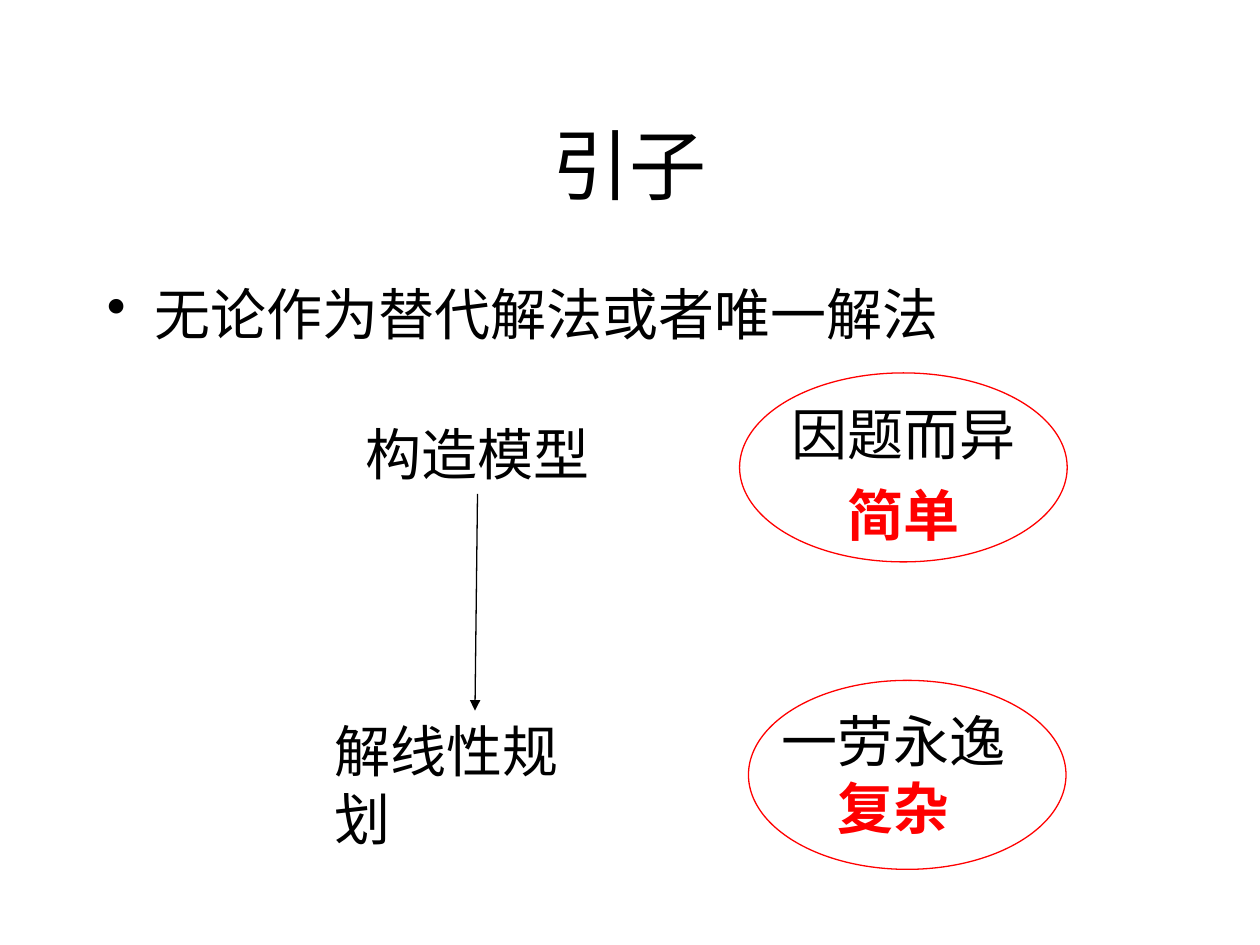
from lxml import etree
from pptx import Presentation
from pptx.dml.color import RGBColor
from pptx.enum.shapes import MSO_CONNECTOR, MSO_SHAPE
from pptx.enum.text import MSO_ANCHOR, MSO_AUTO_SIZE, PP_ALIGN
from pptx.oxml.ns import qn
from pptx.util import Inches, Pt

LEFT, CENTER = PP_ALIGN.LEFT, PP_ALIGN.CENTER
TOP, MIDDLE = MSO_ANCHOR.TOP, MSO_ANCHOR.MIDDLE
GROW, FIXED = MSO_AUTO_SIZE.SHAPE_TO_FIT_TEXT, MSO_AUTO_SIZE.NONE
STRAIGHT, ELLIPSE = MSO_CONNECTOR.STRAIGHT, MSO_SHAPE.OVAL
BLACK, RED = "000000", "FF0000"
FONT = "Times New Roman"
BOTTOM_SIDE, TOP_SIDE = 2, 0


def color(hex_value):
    """Return the colour for a hex string."""
    return RGBColor.from_string(hex_value)


def set_all(target, values):
    """Set every attribute named in values on target."""
    for name, value in values.items():
        setattr(target, name, value)


def add_text(slide, box, lines, size=32, align=LEFT, before=0, anchor=TOP, wrap=False):
    """Add a text box from (text, colour, bold) lines."""
    label = slide.shapes.add_textbox(*map(Inches, box))
    frame = label.text_frame
    set_all(frame, {"word_wrap": wrap, "auto_size": FIXED if wrap else GROW,
                    "vertical_anchor": anchor})
    for index, (text, hex_value, bold) in enumerate(lines):
        paragraph = frame.add_paragraph() if index else frame.paragraphs[0]
        set_all(paragraph, {"alignment": align, "space_before": Pt(before)})
        run = paragraph.add_run()
        run.text = text
        set_all(run.font, {"name": FONT, "size": Pt(size), "bold": bold})
        run.font.color.rgb = color(hex_value)
    return label


def add_bullet(label):
    """Give the first paragraph of a label a hanging bullet."""
    properties = label.text_frame.paragraphs[0]._p.get_or_add_pPr()
    indent = Inches(0.38)
    properties.set("marL", str(indent))
    properties.set("indent", str(-indent))
    etree.SubElement(properties, qn("a:buChar")).set("char", "•")


def add_arrow(slide, source, target):
    """Join the bottom of source to the top of target with an arrow."""
    arrow = slide.shapes.add_connector(STRAIGHT, 0, 0, 0, 0)
    arrow.begin_connect(source, BOTTOM_SIDE)
    arrow.end_connect(target, TOP_SIDE)
    arrow.line.width = Pt(0.75)
    arrow.line.color.rgb = color(BLACK)
    etree.SubElement(arrow.line._get_or_add_ln(), qn("a:tailEnd")).set("type", "triangle")
    etree.SubElement(arrow._element.spPr, qn("a:effectLst"))


def add_ring(slide, box):
    """Add an unfilled red ellipse."""
    ring = slide.shapes.add_shape(ELLIPSE, *map(Inches, box))
    ring.shadow.inherit = False
    ring.fill.background()
    ring.line.width = Pt(0.75)
    ring.line.color.rgb = color(RED)


def main():
    """Build and save the slide."""
    deck = Presentation()
    set_all(deck, {"slide_width": Inches(10), "slide_height": Inches(7.5)})
    slide = deck.slides.add_slide(deck.slide_layouts[6])

    add_text(slide, (0.75, 0.67, 8.5, 1.25), [("引子", BLACK, False)],
             size=44, align=CENTER, anchor=MIDDLE, wrap=True)
    statement = add_text(slide, (0.75, 2.17, 8.5, 4.5),
                         [("无论作为替代解法或者唯一解法", BLACK, False)], before=8, wrap=True)
    add_bullet(statement)

    modelling = add_text(slide, (2.8, 3.28, 1.98, 0.64), [("构造模型", BLACK, False)])
    solving = add_text(slide, (2.56, 5.64, 2.42, 0.64),
                       [("解线性规划", BLACK, False)], before=8)
    add_arrow(slide, modelling, solving)

    verdicts = [
        ("因题而异", "简单", (6.18, 3.12, 1.98, 1.28), 8, (5.87, 2.96, 2.6, 1.5)),
        ("一劳永逸", "复杂", (6.1, 5.56, 1.98, 1.17), 0, (5.94, 5.4, 2.52, 1.5)),
    ]
    for trait, difficulty, text_box, before, ring_box in verdicts:
        add_text(slide, text_box, [(trait, BLACK, False), (difficulty, RED, True)],
                 align=CENTER, before=before)
        add_ring(slide, ring_box)

    deck.save("out.pptx")


if __name__ == "__main__":
    main()
